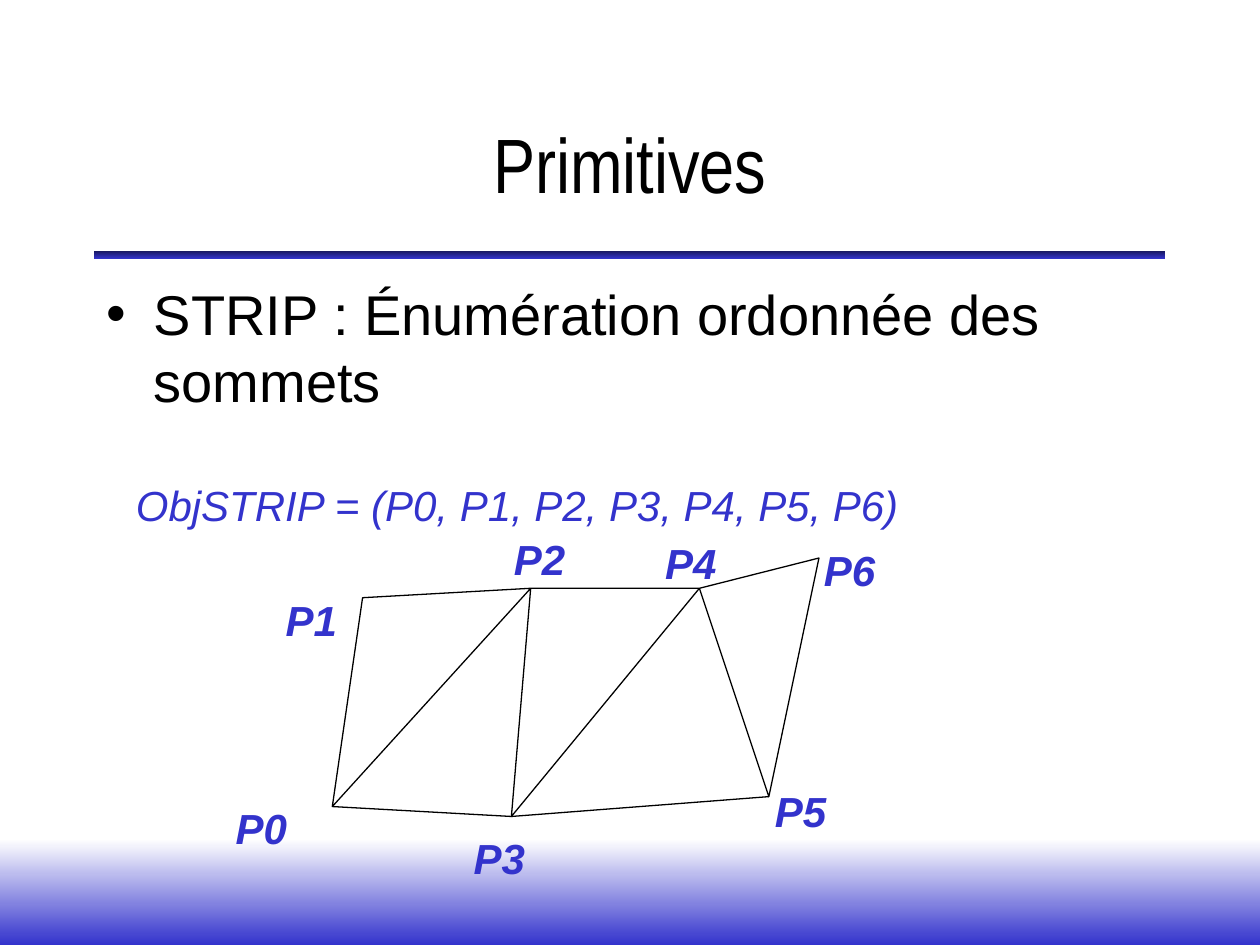
"""Build a slide that explains a triangle strip as an ordered list of vertices."""
from lxml.etree import SubElement
from pptx import Presentation
from pptx.dml.color import RGBColor
from pptx.enum.shapes import MSO_SHAPE as Shape
from pptx.enum.text import MSO_ANCHOR as Anchor, PP_ALIGN as Align
from pptx.oxml.ns import qn
from pptx.util import Cm, Pt

BLACK = RGBColor(0x00, 0x00, 0x00)
WHITE = RGBColor(0xFF, 0xFF, 0xFF)
NAVY = RGBColor(0x17, 0x17, 0x5E)
BLUE = RGBColor(0x33, 0x33, 0xCC)

VERTICES = {
    "P0": (6.7, 16.26), "P1": (7.31, 12.05), "P2": (10.7, 11.86),
    "P3": (10.31, 16.46), "P4": (14.1, 11.86), "P5": (15.5, 16.06),
    "P6": (16.51, 11.25),
}
LABELS = {
    "P0": (4.5, 16.05), "P1": (5.51, 11.86), "P2": (10.11, 10.64),
    "P3": (9.3, 16.66), "P4": (13.16, 10.72), "P5": (15.37, 15.72),
    "P6": (16.36, 10.85),
}
STRIP = ["P1", "P0", "P2", "P3", "P4", "P5", "P6", "P4", "P2"]
LOWER_EDGE = ["P0", "P3", "P5"]


def add_gradient_band(slide, left, top, width, height, upper, lower):
    band = slide.shapes.add_shape(
        Shape.RECTANGLE, Cm(left), Cm(top), Cm(width), Cm(height))
    band.shadow.inherit = False
    band.line.fill.background()
    band.fill.gradient()
    band.fill.gradient_angle = 270
    for stop, color, position in zip(band.fill.gradient_stops, (upper, lower), (0, 1)):
        stop.color.rgb = color
        stop.position = position


def add_text(slide, text, left, top, width, height, size, color=BLACK,
             font_name="Arial", bold=False, italic=False, wrap=True,
             anchor=Anchor.TOP, align=Align.LEFT, bullet_indent=None):
    box = slide.shapes.add_textbox(Cm(left), Cm(top), Cm(width), Cm(height))
    frame = box.text_frame
    frame.word_wrap = wrap
    frame.vertical_anchor = anchor
    paragraph = frame.paragraphs[0]
    paragraph.text = text
    paragraph.alignment = align
    if bullet_indent:
        add_bullet(paragraph, bullet_indent)
    font = paragraph.font
    font.name, font.size = font_name, Pt(size)
    font.bold, font.italic = bold, italic
    font.color.rgb = color


def add_bullet(paragraph, indent):
    properties = paragraph._p.get_or_add_pPr()
    properties.set("marL", str(Cm(indent)))
    properties.set("indent", str(-Cm(indent)))
    SubElement(properties, qn("a:buFont"), typeface="Arial")
    SubElement(properties, qn("a:buChar"), char="•")


def add_outline(slide, names, close):
    start, *others = [(Cm(x), Cm(y)) for x, y in map(VERTICES.get, names)]
    builder = slide.shapes.build_freeform(*start)
    builder.add_line_segments(others, close=close)
    outline = builder.convert_to_shape()
    outline.shadow.inherit = False
    outline.fill.background()
    outline.line.color.rgb = BLACK
    outline.line.width = Pt(0.75)


def main():
    presentation = Presentation()
    presentation.slide_width, presentation.slide_height = Cm(25.4), Cm(19.05)
    slide = presentation.slides.add_slide(presentation.slide_layouts[6])

    add_gradient_band(slide, 0, 16.92, 25.4, 2.13, WHITE, BLUE)
    add_gradient_band(slide, 1.9, 5.06, 21.59, 0.16, NAVY, BLUE)
    add_text(slide, "Primitives", 0, 1.7, 25.4, 3.18, 44,
             font_name="Arial Narrow", anchor=Anchor.MIDDLE, align=Align.CENTER)
    add_text(slide, "STRIP : Énumération ordonnée des sommets",
             1.9, 5.51, 21.59, 11.43, 32, bullet_indent=0.95)
    add_text(slide, "ObjSTRIP = (P0, P1, P2, P3, P4, P5, P6)",
             2.49, 9.55, 19.58, 1.27, 24, BLUE, italic=True)

    add_outline(slide, STRIP, close=True)
    add_outline(slide, LOWER_EDGE, close=False)
    for name, (left, top) in LABELS.items():
        add_text(slide, name, left, top, 1.55, 1.27, 24, BLUE,
                 bold=True, italic=True, wrap=False)

    presentation.save("out.pptx")


if __name__ == "__main__":
    main()
